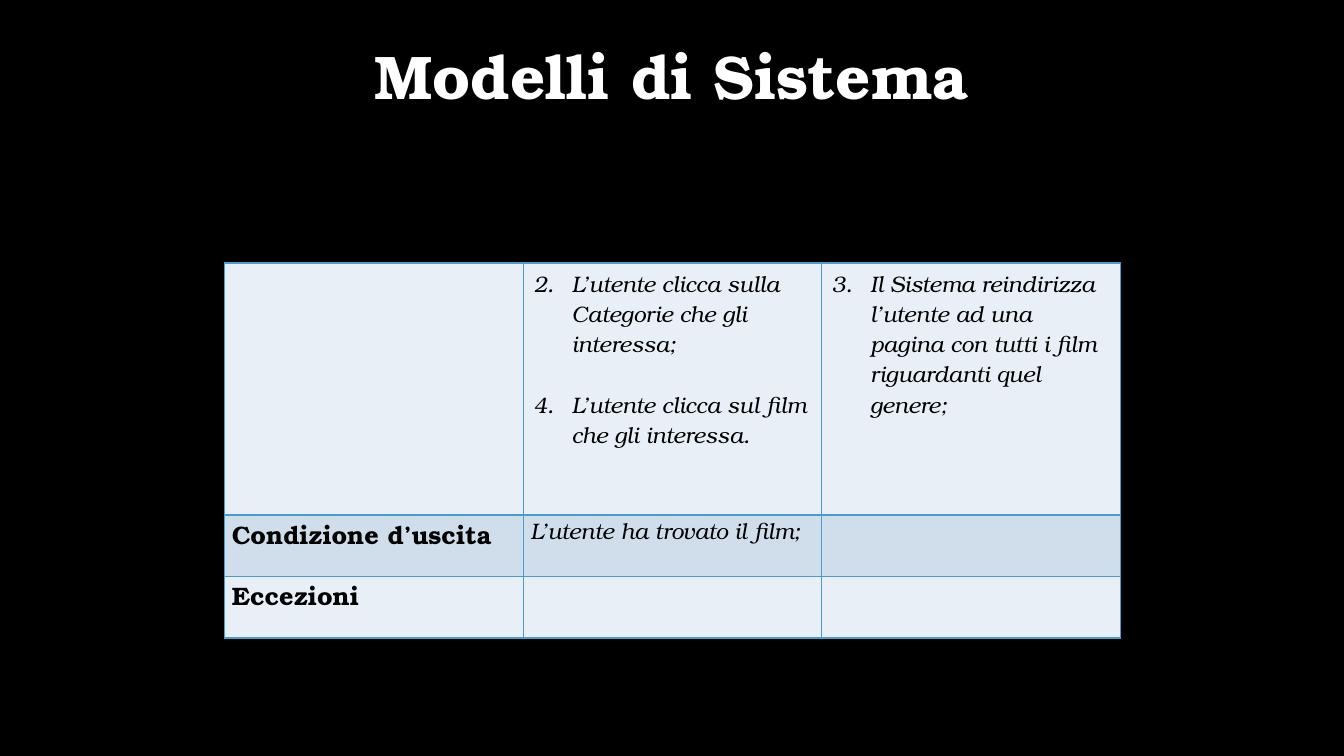
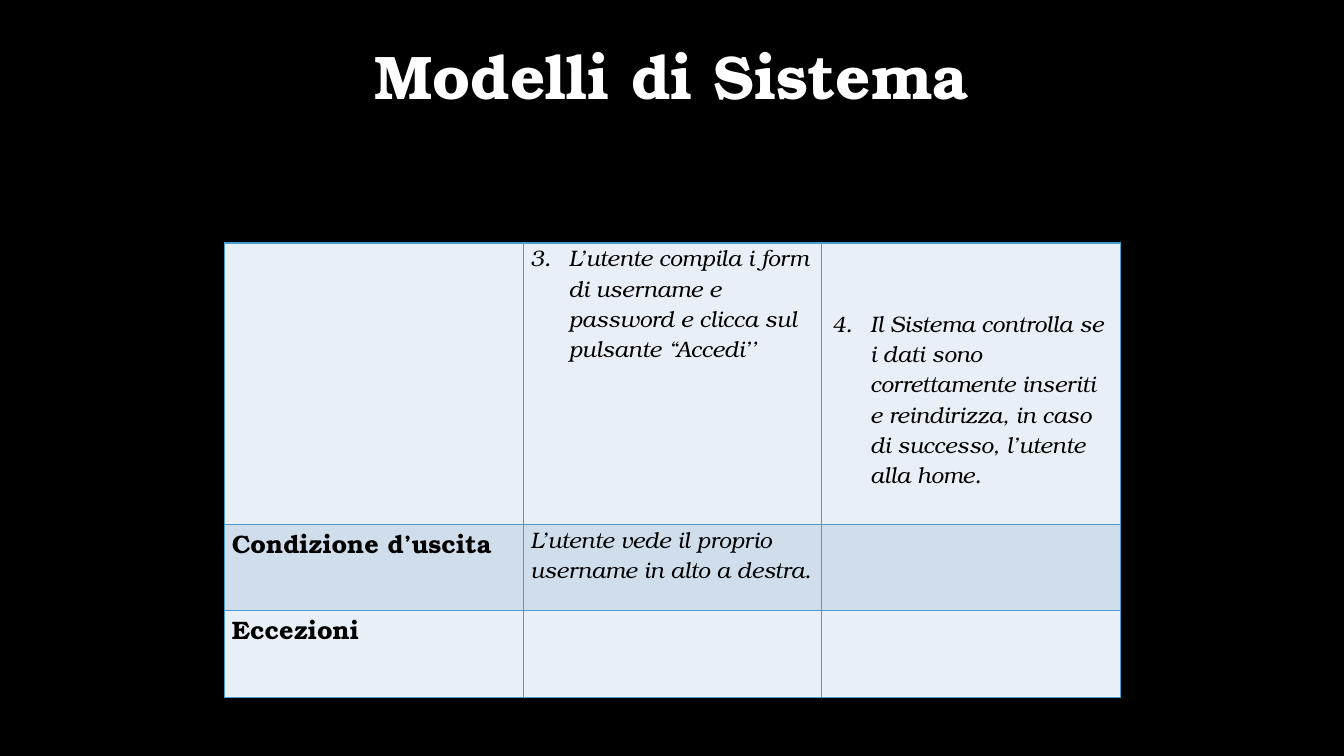
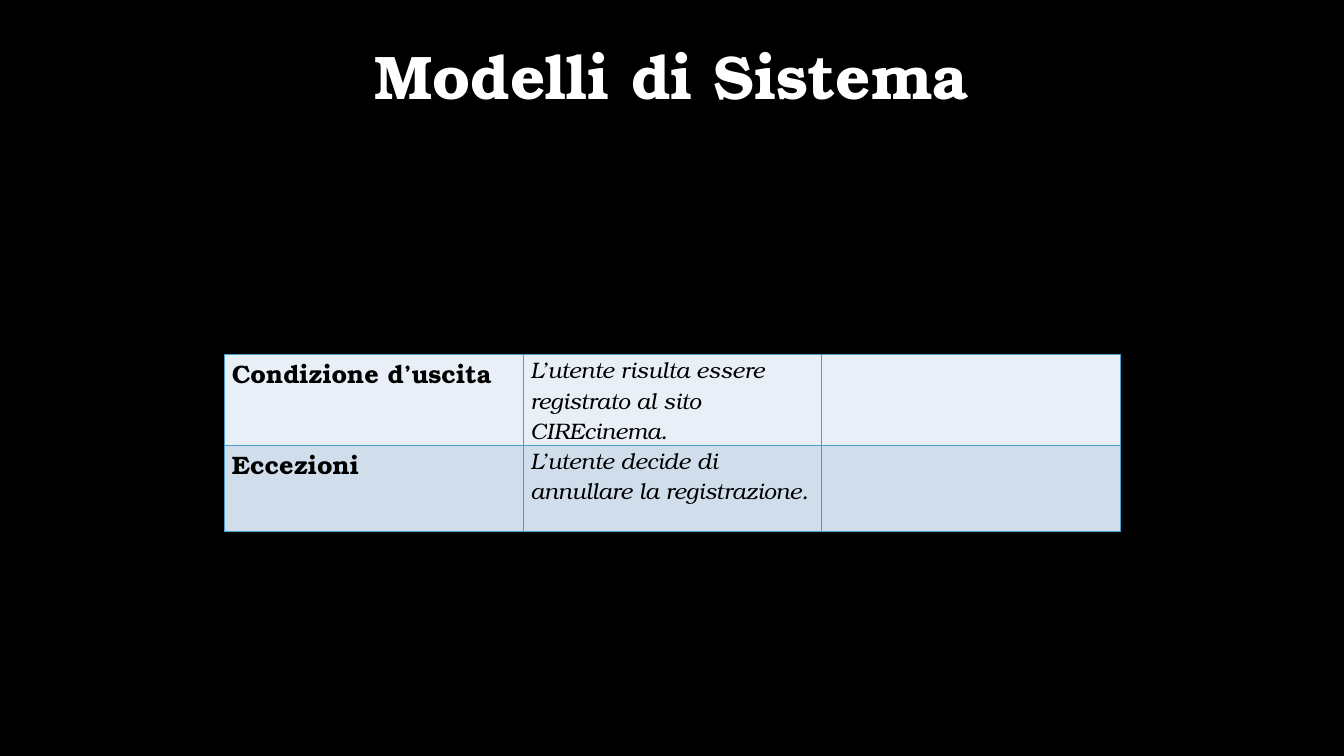
from lxml import etree
from pptx import Presentation
from pptx.dml.color import RGBColor
from pptx.enum.shapes import MSO_SHAPE
from pptx.enum.text import MSO_ANCHOR, PP_ALIGN
from pptx.oxml.ns import qn
from pptx.util import Inches, Pt

COLORS = {
    "background": "000000",
    "title": "FFFFFF",
    "text": "000000",
    "light": "E9EFF6",
    "dark": "D0DEEC",
    "border": "4A9CCC",
}
FONT = "TeX Gyre Bonum"
TITLE = "Modelli di Sistema"
TITLE_BAND = (0, 0.41, 13.33, 0.88)
EXIT, EXCEPTIONS = "Condizione d’uscita", "Eccezioni"
COLUMN_WIDTH = 2.96
TIGHT, ROOMY, LOWERED = (0.07, 0), (0.1, 0.05), (0.1, 0.65)

# Each use case: panel box, table top, rows. Each row: height, label, then the user and
# system cells as (side and top margin, [(step number or None, text), ...]).
USE_CASES = [
    ((1.32, 1.51, 10.69, 5.65), 2.61, [
        (2.5, "",
         (ROOMY, [(2, "L’utente clicca sulla Categorie che gli interessa;"),
                  (4, "L’utente clicca sul film che gli interessa.")]),
         (ROOMY, [(3, "Il Sistema reindirizza l’utente ad una pagina con tutti i film "
                      "riguardanti quel genere;")])),
        (0.61, EXIT, (TIGHT, [(None, "L’utente ha trovato il film;")]), None),
        (0.61, EXCEPTIONS, None, None),
    ]),
    ((1.44, 2.03, 10.69, 4.7), 2.41, [
        (2.79, "",
         (TIGHT, [(3, "L’utente compila i form di username e password e clicca sul "
                      "pulsante “Accedi’’")]),
         (LOWERED, [(4, "Il Sistema controlla se i dati sono correttamente inseriti e "
                        "reindirizza, in caso di successo, l’utente alla home.")])),
        (0.86, EXIT,
         (TIGHT, [(None, "L’utente vede il proprio username in alto a destra.")]), None),
        (0.86, EXCEPTIONS, None, None),
    ]),
    ((1.44, 2.67, 10.69, 3.42), 3.52, [
        (0.9, EXIT,
         (TIGHT, [(None, "L’utente risulta essere registrato al sito CIREcinema.")]), None),
        (0.85, EXCEPTIONS,
         (TIGHT, [(None, "L’utente decide di annullare la registrazione.")]), None),
    ]),
]


def style_font(font, size, color, bold=False, italic=False):
    font.name, font.size = FONT, Pt(size)
    font.bold, font.italic = bold, italic
    font.color.rgb = RGBColor.from_string(COLORS[color])


def style_cell(cell, fill):
    """Draw the four borders, then the fill that must follow them in the XML."""
    properties = cell._tc.get_or_add_tcPr()
    for side in ("lnL", "lnR", "lnT", "lnB"):
        line = etree.SubElement(properties, qn(f"a:{side}"), w=str(Pt(1)))
        solid = etree.SubElement(line, qn("a:solidFill"))
        etree.SubElement(solid, qn("a:srgbClr"), val=COLORS["border"])
    cell.fill.solid()
    cell.fill.fore_color.rgb = RGBColor.from_string(COLORS[fill])


prs = Presentation()
prs.slide_width, prs.slide_height = Inches(13.33), Inches(7.5)

for panel_box, top, rows in USE_CASES:
    slide = prs.slides.add_slide(prs.slide_layouts[6])
    slide.background.fill.solid()
    slide.background.fill.fore_color.rgb = RGBColor.from_string(COLORS["background"])

    title_band, panel = [
        slide.shapes.add_shape(MSO_SHAPE.RECTANGLE, *map(Inches, box))
        for box in (TITLE_BAND, panel_box)
    ]
    for block in (title_band, panel):
        block.shadow.inherit = False
        block.fill.solid()
        block.fill.fore_color.rgb = RGBColor.from_string(COLORS["background"])
        block.line.fill.background()

    title = title_band.text_frame
    title.word_wrap = True
    title.vertical_anchor = MSO_ANCHOR.TOP
    heading = title.paragraphs[0]
    heading.text = TITLE
    heading.alignment = PP_ALIGN.CENTER
    heading.line_spacing = 0.9
    style_font(heading.font, 44, "title", bold=True)

    height = sum(row[0] for row in rows)
    table = slide.shapes.add_table(len(rows), 3, Inches(2.23), Inches(top),
                                   Inches(3 * COLUMN_WIDTH), Inches(height)).table
    for column in table.columns:
        column.width = Inches(COLUMN_WIDTH)

    for r, (row_height, label, *actors) in enumerate(rows):
        table.rows[r].height = Inches(row_height)
        label_content = (TIGHT, [(None, label)]) if label else None
        for c, content in enumerate([label_content, *actors]):
            cell = table.cell(r, c)
            style_cell(cell, "dark" if r % 2 else "light")
            if not content:
                continue
            (side_margin, top_margin), steps = content
            cell.margin_left = cell.margin_right = Inches(side_margin)
            cell.margin_top = Inches(top_margin)
            cell.margin_bottom = 0
            for i, (number, text) in enumerate(steps):
                paragraph = cell.text_frame.add_paragraph() if i else cell.text_frame.paragraphs[0]
                paragraph.text = text
                if i:
                    paragraph.space_before = Pt(21.6)
                if number:
                    p_pr = paragraph._p.get_or_add_pPr()
                    p_pr.set("marL", str(Inches(0.38)))
                    p_pr.set("indent", str(-Inches(0.38)))
                    etree.SubElement(p_pr, qn("a:buAutoNum"),
                                     type="arabicPeriod", startAt=str(number))
                is_label = c == 0
                style_font(paragraph.font, 18 if is_label else 16, "text",
                           bold=is_label, italic=not is_label)

prs.save("out.pptx")
